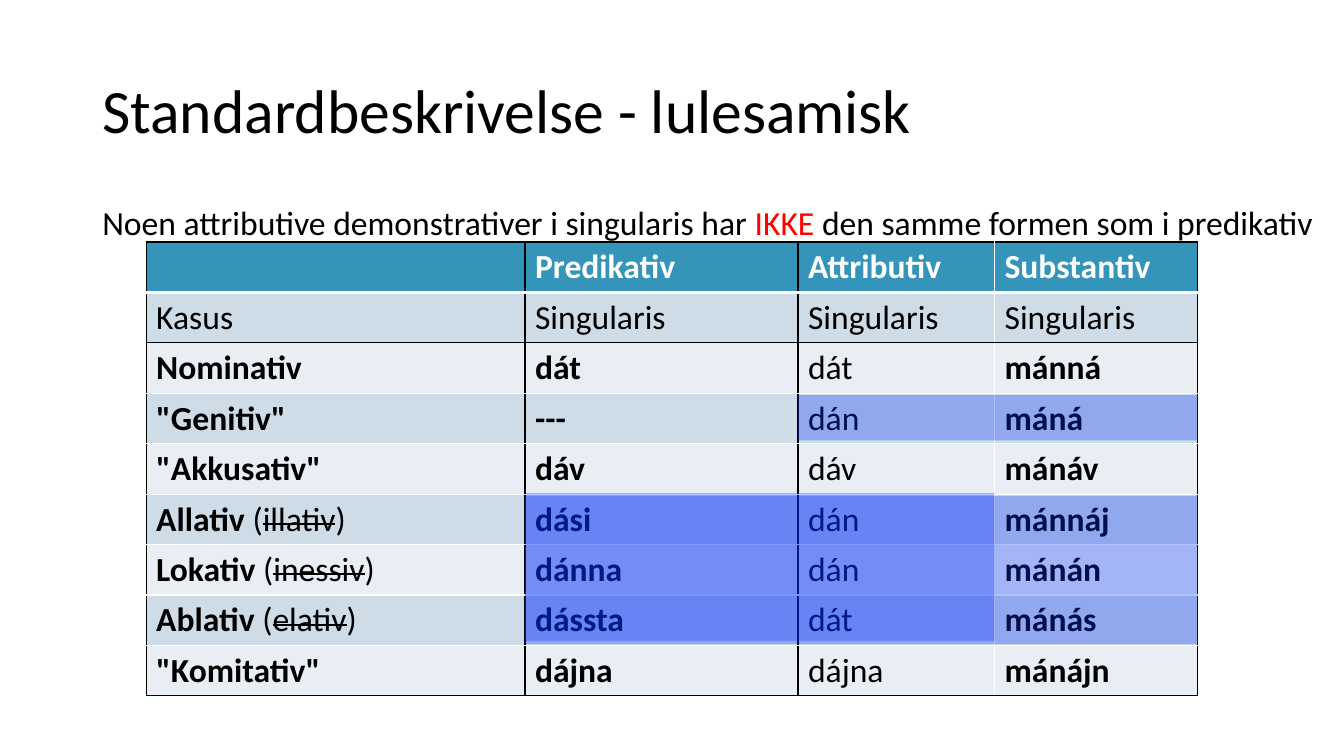
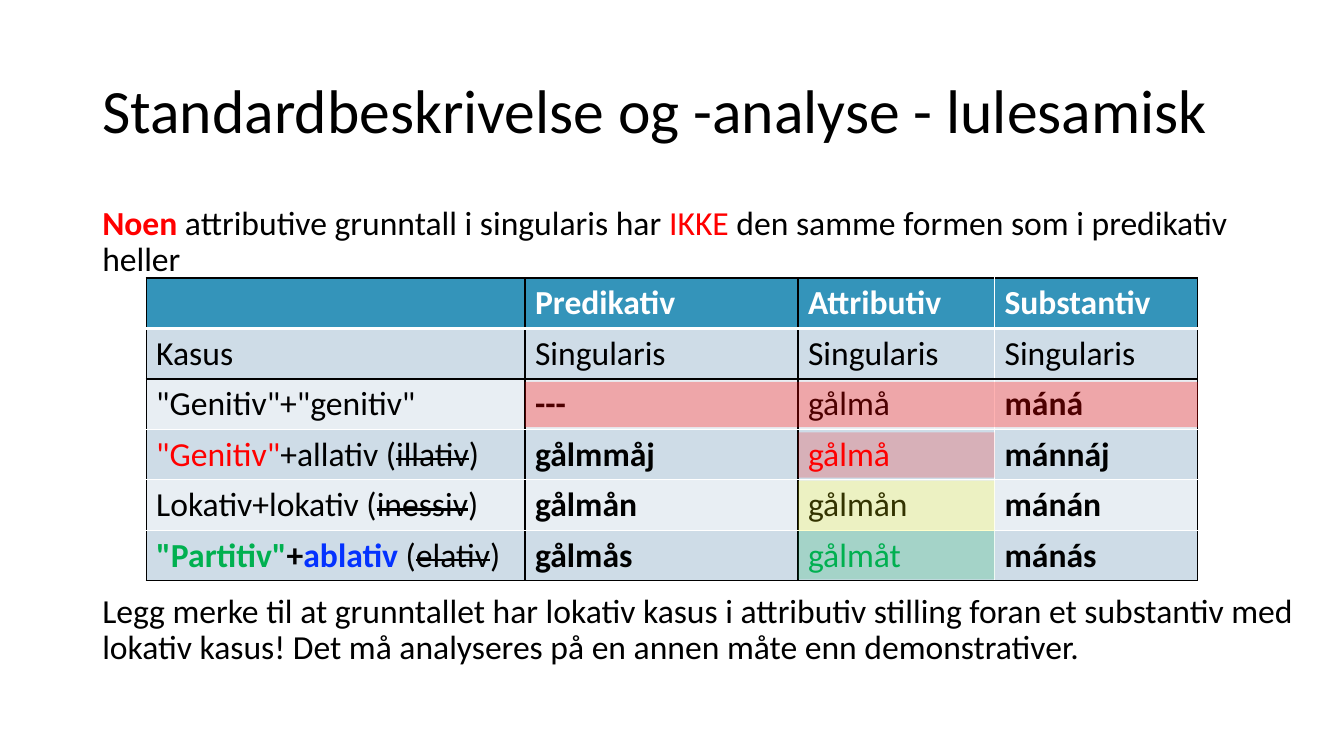
from dataclasses import dataclass
from typing import NamedTuple

from lxml import etree
from pptx import Presentation
from pptx.dml.color import RGBColor
from pptx.enum.shapes import MSO_SHAPE
from pptx.enum.text import MSO_ANCHOR
from pptx.oxml.ns import qn
from pptx.util import Inches, Length, Pt

RECTANGLE = MSO_SHAPE.RECTANGLE
TOP, MIDDLE = MSO_ANCHOR.TOP, MSO_ANCHOR.MIDDLE

BLACK = RGBColor(0x00, 0x00, 0x00)
WHITE = RGBColor(0xFF, 0xFF, 0xFF)
RED = RGBColor(0xFF, 0x00, 0x00)
BLUE = RGBColor(0x04, 0x32, 0xFF)
GREEN = RGBColor(0x00, 0xB0, 0x50)
YELLOW = RGBColor(0xFF, 0xFF, 0x00)
HEADER_FILL = RGBColor(0x34, 0x94, 0xBA)
ROW_FILLS = (RGBColor(0xE8, 0xEE, 0xF3), RGBColor(0xCE, 0xDC, 0xE7))

FONT = "Calibri"
TITLE_SIZE, TEXT_SIZE = 44, 24

# The slide is a grid of 160 columns and 90 rows, twelve to the inch.
SLIDE_COLS, SLIDE_ROWS = 160, 90
MARGIN = 11
TABLE_LEFT = 17.4
COLUMN_WIDTHS = (45.1, 32.5, 23.4, 24.2)
ROW_HEIGHT = 6
BOLD_COLUMNS = (1, 3)
WHITE_EDGE = 3  # column edge between attributive and noun


class Run(NamedTuple):
    text: str
    bold: bool = False
    colour: RGBColor = BLACK
    strike: bool = False


class Box(NamedTuple):
    left: float
    top: float
    width: float
    height: float


class Highlight(NamedTuple):
    """A translucent band, placed in columns and rows of the table."""
    column: int
    row: float
    columns: int
    rows: float
    colour: RGBColor
    opacity: int


class Border(NamedTuple):
    colour: RGBColor
    points: int = 1


Runs = tuple[Run, ...]


class CaseRow(NamedTuple):
    label: Runs
    predicative: str
    attributive: str
    noun: str
    attributive_colour: RGBColor = BLACK


@dataclass(frozen=True)
class Paradigm:
    title: str
    intro: Runs
    intro_box: Box
    table_top: float
    rows: tuple[CaseRow, ...]
    highlights: tuple[Highlight, ...]
    remark: str = ""


def units(count: float) -> Length:
    return Inches(count / 12)


def place(box: Box) -> tuple[Length, ...]:
    return tuple(units(value) for value in box)


def fill_paragraph(paragraph, runs: Runs, size: int) -> None:
    paragraph.font.name = FONT
    paragraph.font.size = Pt(size)
    for part in runs:
        run = paragraph.add_run()
        run.text = part.text
        run.font.bold = part.bold
        run.font.color.rgb = part.colour
        if part.strike:
            run.font._element.set("strike", "sngStrike")


def add_text(slide, box: Box, runs: Runs, size: int = TEXT_SIZE, anchor=TOP) -> None:
    frame = slide.shapes.add_textbox(*place(box)).text_frame
    frame.word_wrap = True
    frame.vertical_anchor = anchor
    paragraph = frame.paragraphs[0]
    paragraph.line_spacing = 0.9
    fill_paragraph(paragraph, runs, size)


def row_edge(edge: int, row_count: int) -> Border:
    """Horizontal rule above the row with this index."""
    if edge == 1:
        return Border(WHITE, 3)
    return Border(BLACK if edge in (0, 2, row_count) else WHITE)


def column_edge(edge: int) -> Border:
    return Border(WHITE if edge == WHITE_EDGE else BLACK)


def set_border(cell, tag: str, border: Border) -> None:
    line = etree.SubElement(cell._tc.get_or_add_tcPr(), qn(tag), w=str(Pt(border.points)))
    fill = etree.SubElement(line, qn("a:solidFill"))
    etree.SubElement(fill, qn("a:srgbClr"), val=str(border.colour))


def table_rows(paradigm: Paradigm) -> list[tuple[Runs, ...]]:
    headings = ("Predikativ", "Attributiv", "Substantiv")
    rows = [((), *((Run(heading, True, WHITE),) for heading in headings)),
            tuple((Run(text),) for text in ("Kasus",) + ("Singularis",) * 3)]
    for case in paradigm.rows:
        forms = (case.predicative, case.attributive, case.noun)
        colours = (BLACK, case.attributive_colour, BLACK)
        rows.append((case.label, *(
            (Run(form, column in BOLD_COLUMNS, colour),)
            for column, (form, colour) in enumerate(zip(forms, colours), start=1))))
    return rows


def add_case_table(slide, paradigm: Paradigm) -> None:
    rows = table_rows(paradigm)
    count = len(rows)
    box = Box(TABLE_LEFT, paradigm.table_top, sum(COLUMN_WIDTHS), count * ROW_HEIGHT)
    table = slide.shapes.add_table(count, len(COLUMN_WIDTHS), *place(box)).table
    table.first_row = table.horz_banding = False
    for column, width in zip(table.columns, COLUMN_WIDTHS):
        column.width = units(width)
    for r, row in enumerate(rows):
        table.rows[r].height = units(ROW_HEIGHT)
        for c, runs in enumerate(row):
            cell = table.cell(r, c)
            set_border(cell, "a:lnL", column_edge(c))
            set_border(cell, "a:lnR", column_edge(c + 1))
            set_border(cell, "a:lnT", row_edge(r, count))
            set_border(cell, "a:lnB", row_edge(r + 1, count))
            cell.fill.solid()
            cell.fill.fore_color.rgb = ROW_FILLS[r % 2] if r else HEADER_FILL
            fill_paragraph(cell.text_frame.paragraphs[0], runs, TEXT_SIZE)


def add_highlight(slide, table_top: float, mark: Highlight) -> None:
    last = mark.column + mark.columns
    box = Box(TABLE_LEFT + sum(COLUMN_WIDTHS[:mark.column]),
              table_top + mark.row * ROW_HEIGHT,
              sum(COLUMN_WIDTHS[mark.column:last]),
              mark.rows * ROW_HEIGHT)
    band = slide.shapes.add_shape(RECTANGLE, *place(box))
    band.shadow.inherit = False
    band.line.fill.background()
    band.fill.solid()
    band.fill.fore_color.rgb = mark.colour
    colour = band._element.spPr.find(".//" + qn("a:srgbClr"))
    etree.SubElement(colour, qn("a:alpha"), val=str(mark.opacity * 1000))


def add_paradigm(prs, paradigm: Paradigm) -> None:
    slide = prs.slides.add_slide(prs.slide_layouts[6])
    add_text(slide, Box(MARGIN, 4.8, 138, 17.4), (Run(paradigm.title),), TITLE_SIZE, MIDDLE)
    add_text(slide, paradigm.intro_box, paradigm.intro)
    if paradigm.remark:
        add_text(slide, Box(MARGIN, 70.2, 144.2, 10), (Run(paradigm.remark),))
    add_case_table(slide, paradigm)
    for mark in paradigm.highlights:
        add_highlight(slide, paradigm.table_top, mark)


def bold(text: str) -> Runs:
    return (Run(text, True),)


def with_old_name(old_name: str, *lead: Run) -> Runs:
    """Label followed by the rejected case name, struck out in brackets."""
    return (*lead, Run("("), Run(old_name, strike=True), Run(")"))


DEMONSTRATIVES = Paradigm(
    title="Standardbeskrivelse - lulesamisk",
    intro=(Run("Noen attributive demonstrativer i singularis har "),
           Run("IKKE", colour=RED),
           Run(" den samme formen som i predikativ")),
    intro_box=Box(MARGIN, 24, 149, 5),
    table_top=28.8,
    rows=(
        CaseRow(bold("Nominativ"), "dát", "dát", "mánná"),
        CaseRow(bold('"Genitiv"'), "---", "dán", "máná"),
        CaseRow(bold('"Akkusativ"'), "dáv", "dáv", "mánáv"),
        CaseRow(with_old_name("illativ", Run("Allativ ", True)), "dási", "dán", "mánnáj"),
        CaseRow(with_old_name("inessiv", Run("Lokativ ", True)), "dánna", "dán", "mánán"),
        CaseRow(with_old_name("elativ", Run("Ablativ ", True)), "dássta", "dát", "mánás"),
        CaseRow(bold('"Komitativ"'), "dájna", "dájna", "mánájn"),
    ),
    highlights=(
        Highlight(1, 4.98, 2, 2.94, BLUE, 30),
        Highlight(1, 5.04, 3, 2.94, BLUE, 30),
        Highlight(2, 3.04, 2, 0.9, BLUE, 30),
    ),
)

NUMERALS = Paradigm(
    title="Standardbeskrivelse og -analyse - lulesamisk",
    intro=(Run("Noen", True, RED),
           Run(" attributive grunntall i singularis har "),
           Run("IKKE", colour=RED),
           Run(" den samme formen som i predikativ heller")),
    intro_box=Box(MARGIN, 24, 144.2, 9),
    table_top=33.1,
    rows=(
        CaseRow((Run('"Genitiv"+"genitiv"'),), "---", "gålmå", "máná"),
        CaseRow(with_old_name("illativ", Run('"Genitiv"', colour=RED), Run("+allativ ")),
                "gålmmåj", "gålmå", "mánnáj", RED),
        CaseRow(with_old_name("inessiv", Run("Lokativ+lokativ ")),
                "gålmån", "gålmån", "mánán"),
        CaseRow(with_old_name("elativ", Run('"Partitiv"', True, GREEN), Run("+", True),
                              Run("ablativ ", True, BLUE)),
                "gålmås", "gålmåt", "mánás", GREEN),
    ),
    highlights=(
        Highlight(1, 2.06, 3, 0.9, RED, 30),
        Highlight(2, 4.02, 1, 1, YELLOW, 20),
        Highlight(2, 3.06, 1, 0.9, RED, 20),
        Highlight(2, 5.02, 1, 0.96, GREEN, 20),
    ),
    remark="Legg merke til at grunntallet har lokativ kasus i attributiv stilling foran "
           "et substantiv med lokativ kasus! Det må analyseres på en annen måte enn "
           "demonstrativer.",
)


def main() -> None:
    prs = Presentation()
    prs.slide_width, prs.slide_height = units(SLIDE_COLS), units(SLIDE_ROWS)
    for paradigm in (DEMONSTRATIVES, NUMERALS):
        add_paradigm(prs, paradigm)
    prs.save("out.pptx")


if __name__ == "__main__":
    main()
